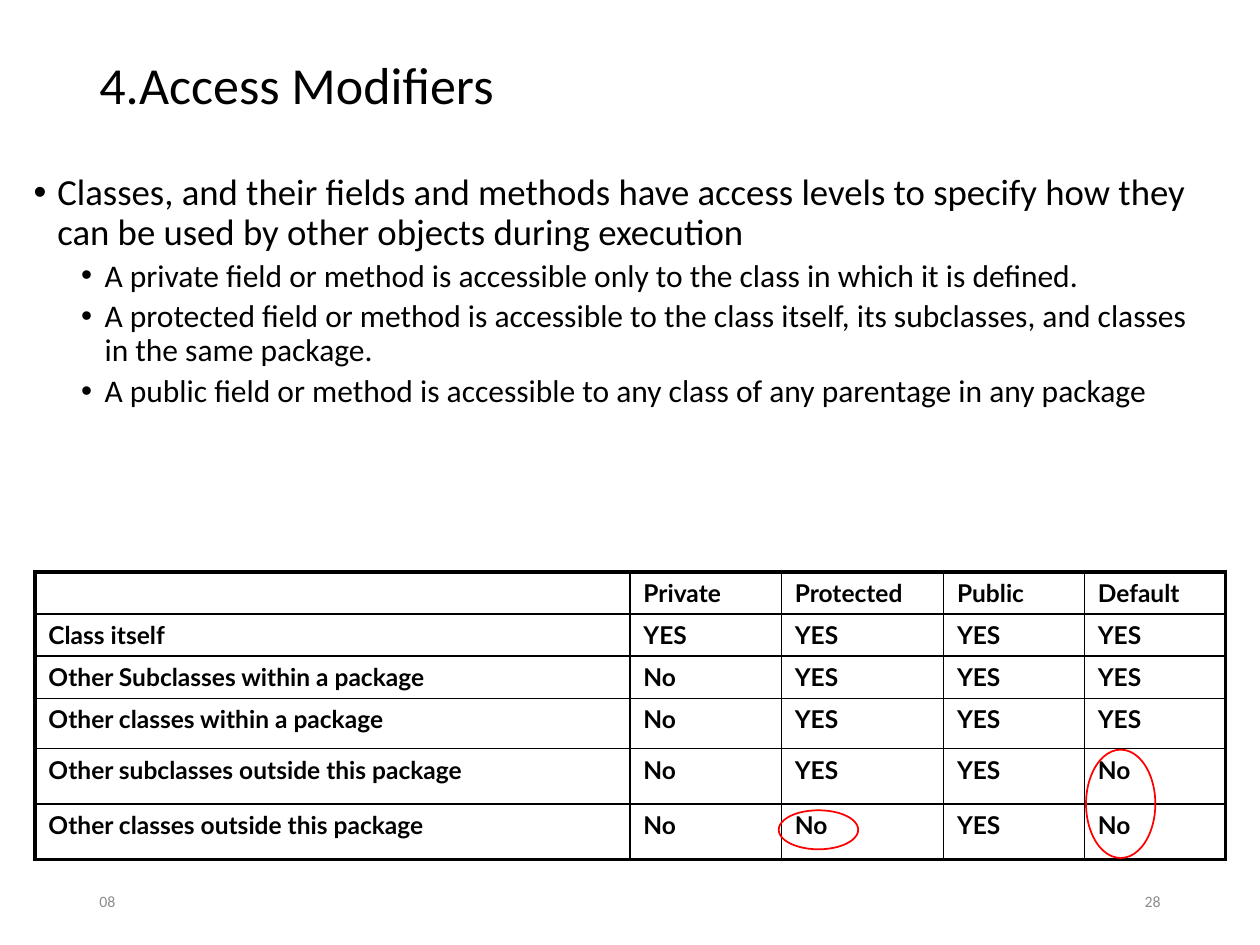
from lxml.etree import SubElement as Sub
from pptx import Presentation
from pptx.dml.color import RGBColor
from pptx.enum.shapes import MSO_SHAPE as Kind
from pptx.enum.text import MSO_ANCHOR as Anchor, PP_ALIGN as Align
from pptx.oxml.ns import qn
from pptx.util import Pt

BLACK = RGBColor(0, 0, 0)
GRAY = RGBColor(0x8C, 0x8C, 0x8C)
RED = RGBColor(0xFF, 0, 0)

TITLE = "4.Access Modifiers"
POINTS = [
    (0, "Classes, and their fields and methods have access levels to specify how "
        "they can be used by other objects during execution"),
    (1, "A private field or method is accessible only to the class in which it is defined."),
    (1, "A protected field or method is accessible to the class itself, its "
        "subclasses, and classes in the same package."),
    (1, "A public field or method is accessible to any class of any parentage in any package"),
]
LEVELS = [dict(size=21, before=7.5, left=13.5), dict(size=18, before=3.8, left=40.5)]
FOOTS = [("08", 49.7, Align.LEFT), ("28", 508.3, Align.RIGHT)]
ROWS = [
    ("", "Private", "Protected", "Public", "Default"),
    ("Class itself", "YES", "YES", "YES", "YES"),
    ("Other Subclasses within a package", "No", "YES", "YES", "YES"),
    ("Other classes within a package", "No", "YES", "YES", "YES"),
    ("Other subclasses outside this package", "No", "YES", "YES", "No"),
    ("Other classes outside this package", "No", "No", "YES", "No"),
]
WIDTHS = [340, 86.5, 92.7, 80.5, 80.5]
HEIGHTS = [24, 24, 24, 28.8, 31.7, 31.7]
RINGS = [(620.6, 428.4, 39.6, 61.9), (445, 463, 45.4, 22.3)]


def write(para, text, size=18, font="Calibri", color=BLACK, bold=False,
          align=Align.LEFT, space=None, before=None, left=None):
    """Put formatted text into a paragraph."""
    para.alignment = align
    if space:
        para.line_spacing = space
    if before:
        para.space_before = Pt(before)
    if left:
        props = para._p.get_or_add_pPr()
        props.set("marL", str(Pt(left)))
        props.set("indent", str(Pt(-13.5)))
        Sub(props, qn("a:buFont"), typeface="Arial")
        Sub(props, qn("a:buChar"), char="•")
    if not text:
        Sub(para._p, qn("a:endParaRPr"), sz=str(int(size * 100)))
        return
    run = para.add_run()
    run.text = text
    run.font.size = Pt(size)
    run.font.name = font
    run.font.bold = bold
    run.font.color.rgb = color


def box(x, y, w, h, anchor=Anchor.MIDDLE):
    """Add a wrapping text box and return its frame."""
    frame = slide.shapes.add_textbox(Pt(x), Pt(y), Pt(w), Pt(h)).text_frame
    frame.word_wrap = True
    frame.vertical_anchor = anchor
    return frame


def edge(cell, side, width):
    """Draw one border of a cell."""
    line = Sub(cell._tc.get_or_add_tcPr(), qn("a:ln" + side), w=str(Pt(width)))
    Sub(Sub(line, qn("a:solidFill")), qn("a:srgbClr"), val=str(BLACK))


deck = Presentation()
deck.slide_width, deck.slide_height = Pt(720), Pt(540)
slide = deck.slides.add_slide(deck.slide_layouts[6])

write(box(49.7, 28.8, 620.6, 42.5).paragraphs[0], TITLE, size=29.7, space=0.9)

body = box(12.2, 95.8, 689.8, 242, Anchor.TOP)
for i, (level, text) in enumerate(POINTS):
    para = body.add_paragraph() if i else body.paragraphs[0]
    para.level = level
    write(para, text, space=0.9, **LEVELS[level])

for text, x, align in FOOTS:
    write(box(x, 500.4, 162, 28.8).paragraphs[0], text, size=9, color=GRAY, align=align)

rows, cols = len(ROWS), len(WIDTHS)
table = slide.shapes.add_table(rows, cols, Pt(20), Pt(326.9),
                               Pt(sum(WIDTHS)), Pt(sum(HEIGHTS))).table
table.first_row = table.horz_banding = False
for col, width in zip(table.columns, WIDTHS):
    col.width = Pt(width)
for r, (row, height) in enumerate(zip(ROWS, HEIGHTS)):
    table.rows[r].height = Pt(height)
    for c, text in enumerate(row):
        cell = table.cell(r, c)
        cell.margin_left = cell.margin_right = Pt(7.7)
        cell.margin_top = cell.margin_bottom = Pt(3.6)
        write(cell.text_frame.paragraphs[0], text, size=14, font="Lato", bold=True)
        outer = {"L": c == 0, "R": c == cols - 1, "T": r == 0, "B": r == rows - 1}
        for side, rim in outer.items():
            edge(cell, side, 2.25 if rim else 1)
        cell.fill.background()

for ring in RINGS:
    oval = slide.shapes.add_shape(Kind.OVAL, *map(Pt, ring))
    oval.shadow.inherit = False
    oval.fill.background()
    oval.line.color.rgb = RED
    oval.line.width = Pt(1)

deck.save("out.pptx")
